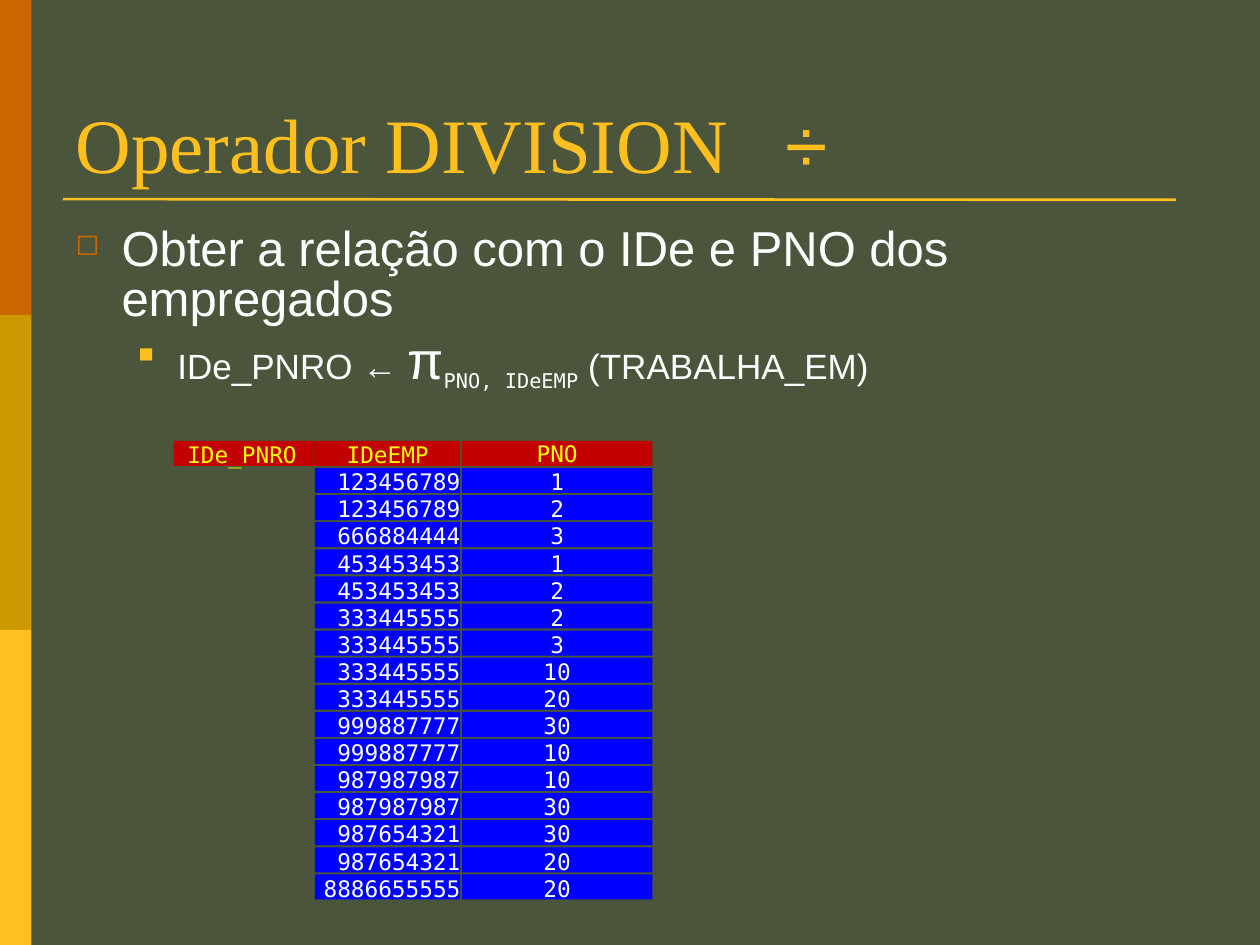
from dataclasses import dataclass

from lxml.etree import SubElement
from pptx import Presentation
from pptx.dml.color import RGBColor
from pptx.enum.shapes import MSO_CONNECTOR, MSO_SHAPE
from pptx.enum.text import MSO_ANCHOR, MSO_AUTO_SIZE, PP_ALIGN
from pptx.oxml.ns import qn
from pptx.util import Pt


@dataclass(frozen=True)
class Theme:
    """Colours, fonts and type sizes of the slide."""
    back: str = "4A553B"
    rust: str = "CC6600"
    ochre: str = "CC9900"
    gold: str = "FFBF1F"
    white: str = "FFFFFF"
    yellow: str = "FFFF00"
    red: str = "C20000"
    blue: str = "0000FF"
    serif: str = "Times New Roman"
    sans: str = "Arial"
    mono: str = "DejaVu Sans Mono"
    title: int = 44
    lead: int = 28
    sub: int = 20
    sign: int = 30
    cell: int = 13


THEME = Theme()
HEAD = ("IDe_PNRO", "IDeEMP", "PNO")
COLS = ((99.2, 80.6), (180, 83), (264, 108.8))
ROWS = (
    ("123456789", "1"), ("123456789", "2"), ("666884444", "3"),
    ("453453453", "1"), ("453453453", "2"), ("333445555", "2"),
    ("333445555", "3"), ("333445555", "10"), ("333445555", "20"),
    ("999887777", "30"), ("999887777", "10"), ("987987987", "10"),
    ("987987987", "30"), ("987654321", "30"), ("987654321", "20"),
    ("8886655555", "20"),
)


def rgb(code):
    """Turn a hex code into a colour."""
    return RGBColor.from_string(code)


def style(font, name, size, color):
    """Set the name, size and colour of a font."""
    font.name, font.size = name, Pt(size)
    font.color.rgb = rgb(color)


def add_rect(slide, left, top, width, height, color):
    """Add a plain filled rectangle."""
    rect = slide.shapes.add_shape(
        MSO_SHAPE.RECTANGLE, Pt(left), Pt(top), Pt(width), Pt(height))
    rect.shadow.inherit = False
    rect.fill.solid()
    rect.fill.fore_color.rgb = rgb(color)
    rect.line.fill.background()
    return rect


def add_bars(slide):
    """Stack the three colour bars on the left edge."""
    for i, color in enumerate((THEME.rust, THEME.ochre, THEME.gold)):
        add_rect(slide, 0, 180 * i, 18, 180, color)


def add_rule(slide):
    """Draw the line below the title."""
    rule = slide.shapes.add_connector(
        MSO_CONNECTOR.STRAIGHT, Pt(36), Pt(113.8), Pt(672), Pt(114.2))
    rule.line.color.rgb = rgb(THEME.gold)
    rule.line.width = Pt(1.5)
    SubElement(rule._element.spPr, qn("a:effectLst"))


def set_title(slide):
    """Place the title and set its sign at a tab stop."""
    title = slide.shapes.title
    title.left, title.top = Pt(36), Pt(21.6)
    title.width, title.height = Pt(648), Pt(90)
    frame = title.text_frame
    frame.auto_size = MSO_AUTO_SIZE.NONE
    frame.vertical_anchor = MSO_ANCHOR.BOTTOM
    para = frame.paragraphs[0]
    para.alignment = PP_ALIGN.LEFT
    tabs = SubElement(para._p.get_or_add_pPr(), qn("a:tabLst"))
    SubElement(tabs, qn("a:tab"), pos=str(Pt(405.6)), algn="l")
    style(para.font, THEME.serif, THEME.title, THEME.gold)
    para.add_run().text = "Operador DIVISION\t"
    sign = para.add_run()
    sign.text = "÷"
    sign.font.name = THEME.sans


def set_bullet(para, char, color, left, hang):
    """Give a paragraph a hanging bullet."""
    props = para._p.get_or_add_pPr()
    props.set("marL", str(Pt(left)))
    props.set("indent", str(-Pt(hang)))
    tint = SubElement(props, qn("a:buClr"))
    SubElement(tint, qn("a:srgbClr"), val=color)
    SubElement(props, qn("a:buSzPct"), val="60000")
    SubElement(props, qn("a:buChar"), char=char)
    para.line_spacing = 0.85


def add_body(slide):
    """Write the task and its algebra expression."""
    box = slide.shapes.add_textbox(Pt(36), Pt(125.8), Pt(648), Pt(356.4))
    frame = box.text_frame
    frame.word_wrap = True
    lead = frame.paragraphs[0]
    set_bullet(lead, "◻", THEME.rust, 26.4, 26.4)
    style(lead.font, THEME.sans, THEME.lead, THEME.white)
    lead.add_run().text = "Obter a relação com o IDe e PNO dos empregados"

    sub = frame.add_paragraph()
    sub.level = 1
    set_bullet(sub, "■", THEME.gold, 58.3, 22.3)
    sub.space_before = Pt(5)
    style(sub.font, THEME.sans, THEME.sub, THEME.white)
    texts = ("IDe_PNRO ← ", "π", "PNO, IDeEMP", " (TRABALHA_EM)")
    runs = [sub.add_run() for _ in texts]
    for run, text in zip(runs, texts):
        run.text = text
    runs[1].font.size = Pt(THEME.sign)
    runs[2].font.name = THEME.mono
    runs[2].font._element.set("baseline", "-25000")


def add_cell(slide, row, col, text, fill, color, align):
    """Place one labelled cell on the grid."""
    left, width = COLS[col]
    cell = add_rect(slide, left, 252 + 15.48 * row, width, 14.3, fill)
    frame = cell.text_frame
    frame.margin_left = frame.margin_right = 0
    frame.margin_top = frame.margin_bottom = 0
    frame.vertical_anchor = MSO_ANCHOR.TOP
    para = frame.paragraphs[0]
    para.alignment = align
    style(para.font, THEME.mono, THEME.cell, color)
    para.add_run().text = text
    return frame


def add_grid(slide):
    """Lay out the relation, heads first."""
    aligns = (PP_ALIGN.LEFT, PP_ALIGN.CENTER, PP_ALIGN.CENTER)
    heads = [
        add_cell(slide, 0, c, text, THEME.red, THEME.yellow, aligns[c])
        for c, text in enumerate(HEAD)]
    heads[0].margin_left = Pt(7.8)
    heads[2].vertical_anchor = MSO_ANCHOR.MIDDLE
    aligns = (PP_ALIGN.RIGHT, PP_ALIGN.CENTER)
    for r, row in enumerate(ROWS, 1):
        for c, (text, align) in enumerate(zip(row, aligns), 1):
            add_cell(slide, r, c, text, THEME.blue, THEME.white, align)


def main():
    """Build and save the slide."""
    deck = Presentation()
    deck.slide_width, deck.slide_height = Pt(720), Pt(540)
    slide = deck.slides.add_slide(deck.slide_layouts[5])
    slide.background.fill.solid()
    slide.background.fill.fore_color.rgb = rgb(THEME.back)
    add_bars(slide)
    add_rule(slide)
    set_title(slide)
    add_body(slide)
    add_grid(slide)
    deck.save("out.pptx")


if __name__ == "__main__":
    main()
